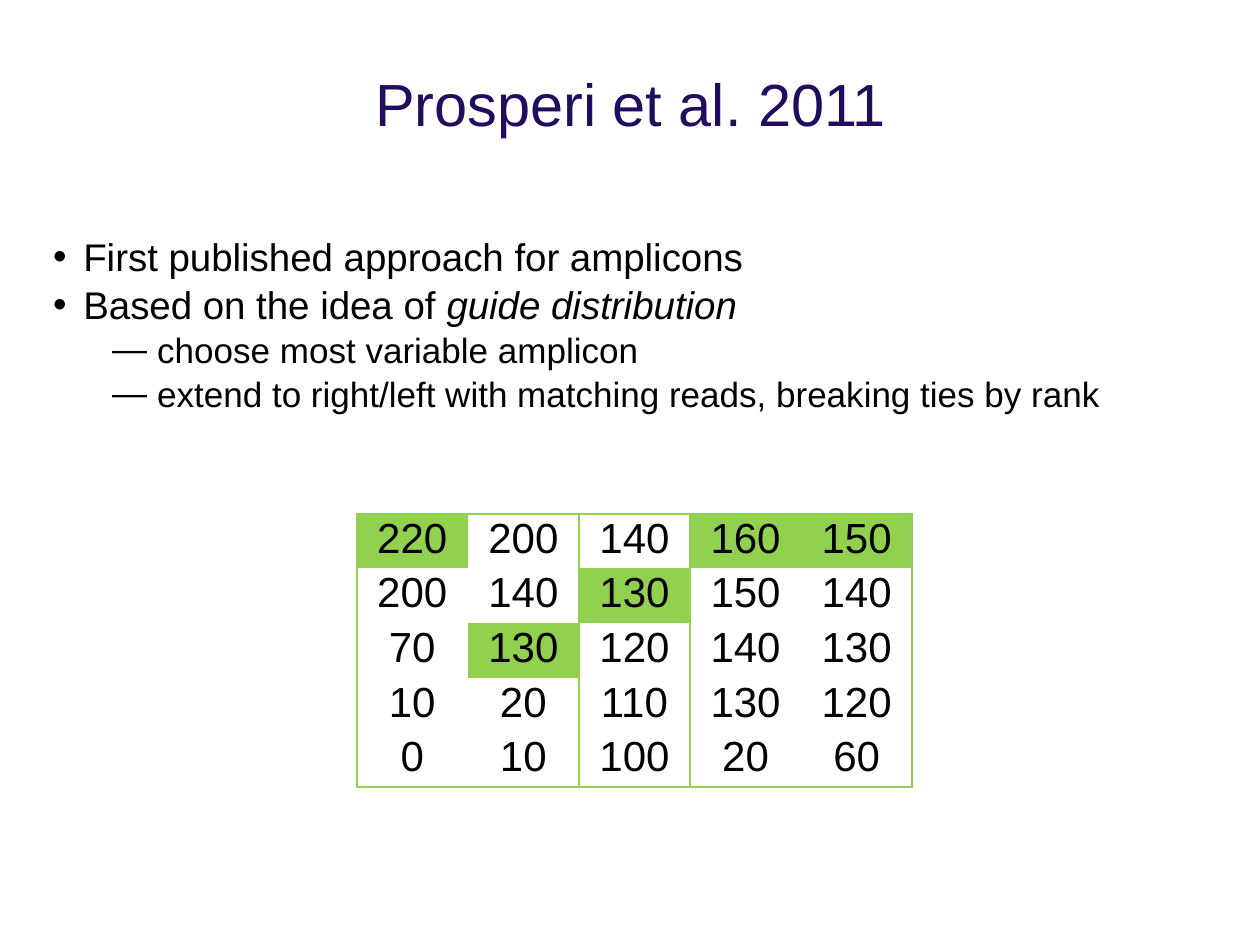
from lxml.etree import SubElement
from pptx import Presentation
from pptx.dml.color import RGBColor
from pptx.enum.text import MSO_ANCHOR as Anchor, PP_ALIGN as Align
from pptx.oxml.ns import qn
from pptx.util import Cm, Pt

# Content
TITLE = "Prosperi et al. 2011"
# Each bullet: level, then spans of (text, italic)
BULLETS = [
    (0, [("First published approach for amplicons", False)]),
    (0, [("Based on the idea of ", False), ("guide distribution", True)]),
    (1, [("choose most variable amplicon", False)]),
    (1, [("extend to right/left with matching reads, breaking ties by rank", False)]),
]
LEVELS = [
    {"mark": "•", "size": 22, "margin": 0.61, "hang": 0.61},
    {"mark": "—", "size": 20, "margin": 2.1, "hang": 0.91},
]
COUNTS = [
    [220, 200, 140, 160, 150],
    [200, 140, 130, 150, 140],
    [70, 130, 120, 140, 130],
    [10, 20, 110, 130, 120],
    [0, 10, 100, 20, 60],
]
CHOSEN_ROWS = [0, 2, 1, 0, 0]  # highlighted row in each column
BLOCKS = [(0, 1), (2, 2), (3, 4)]  # first and last column of each outlined block

# Look
FONT, INK, NAVY, GREEN, WHITE = "Arial", "000000", "220C5E", "92D050", "FFFFFF"
BORDER = Pt(1.5)
COLUMN_WIDTH, ROW_HEIGHT = Cm(2.24), Cm(1.1)


def color(value):
    return RGBColor.from_string(value)


def set_all(target, values):
    for name, value in values.items():
        setattr(target, name, value)


def style(font, size, ink=INK, italic=False):
    set_all(font, {"name": FONT, "size": Pt(size), "italic": italic})
    font.color.rgb = color(ink)


def frame_format(top=0):
    return {"margin_left": 0, "margin_right": 0, "margin_top": Cm(top),
            "margin_bottom": 0, "word_wrap": True, "vertical_anchor": Anchor.TOP}


def add_bullet(para, mark, margin, hang):
    props = para._p.get_or_add_pPr()
    props.set("marL", str(Cm(margin)))
    props.set("indent", str(-Cm(hang)))
    SubElement(props, qn("a:buFont"), typeface=FONT)
    SubElement(props, qn("a:buChar"), char=mark)


def add_borders(cell, edges):
    props = cell._tc.get_or_add_tcPr()
    for side, shown in edges.items():
        line = SubElement(props, qn(f"a:ln{side}"), w=str(BORDER if shown else 0))
        if shown:
            fill = SubElement(line, qn("a:solidFill"))
            SubElement(fill, qn("a:srgbClr"), val=GREEN)
        else:
            SubElement(line, qn("a:noFill"))


deck = Presentation()
deck.slide_width, deck.slide_height = Cm(25.4), Cm(19.05)
page = deck.slides.add_slide(deck.slide_layouts[5])

# Title
title = page.shapes.title
set_all(title, {"left": Cm(1.12), "top": Cm(1.35), "width": Cm(23.19), "height": Cm(2.87)})
set_all(title.text_frame, frame_format())
title.text_frame.text = TITLE
heading = title.text_frame.paragraphs[0]
heading.alignment = Align.CENTER
style(heading.runs[0].font, 34, NAVY)

# Bullets
box = page.shapes.add_textbox(Cm(1.07), Cm(3.61), Cm(23.93), Cm(6.35))
frame = box.text_frame
set_all(frame, frame_format(top=1.09))
for index, (level, spans) in enumerate(BULLETS):
    look = LEVELS[level]
    para = frame.add_paragraph() if index else frame.paragraphs[0]
    set_all(para, {"level": level, "space_before": Pt(1 if index else 0)})
    add_bullet(para, look["mark"], look["margin"], look["hang"])
    for text, italic in spans:
        span = para.add_run()
        span.text = text
        style(span.font, look["size"], italic=italic)

# Table of read counts
rows, columns = len(COUNTS), len(COUNTS[0])
table = page.shapes.add_table(rows, columns, Cm(7.19), Cm(10.36),
                              COLUMN_WIDTH * columns, ROW_HEIGHT * rows).table
set_all(table, {"first_row": False, "horz_banding": False})
firsts, lasts = zip(*BLOCKS)
for row, values in enumerate(COUNTS):
    for column, value in enumerate(values):
        cell = table.cell(row, column)
        add_borders(cell, {"L": column in firsts, "R": column in lasts,
                           "T": row == 0, "B": row == rows - 1})
        cell.fill.solid()
        cell.fill.fore_color.rgb = color(GREEN if row == CHOSEN_ROWS[column] else WHITE)
        set_all(cell, {"margin_left": Cm(0.03), "margin_right": Cm(0.03),
                       "margin_top": Cm(0.03), "margin_bottom": 0,
                       "vertical_anchor": Anchor.TOP})
        cell.text = str(value)
        para = cell.text_frame.paragraphs[0]
        para.alignment = Align.CENTER
        style(para.runs[0].font, 24)

deck.save("out.pptx")
